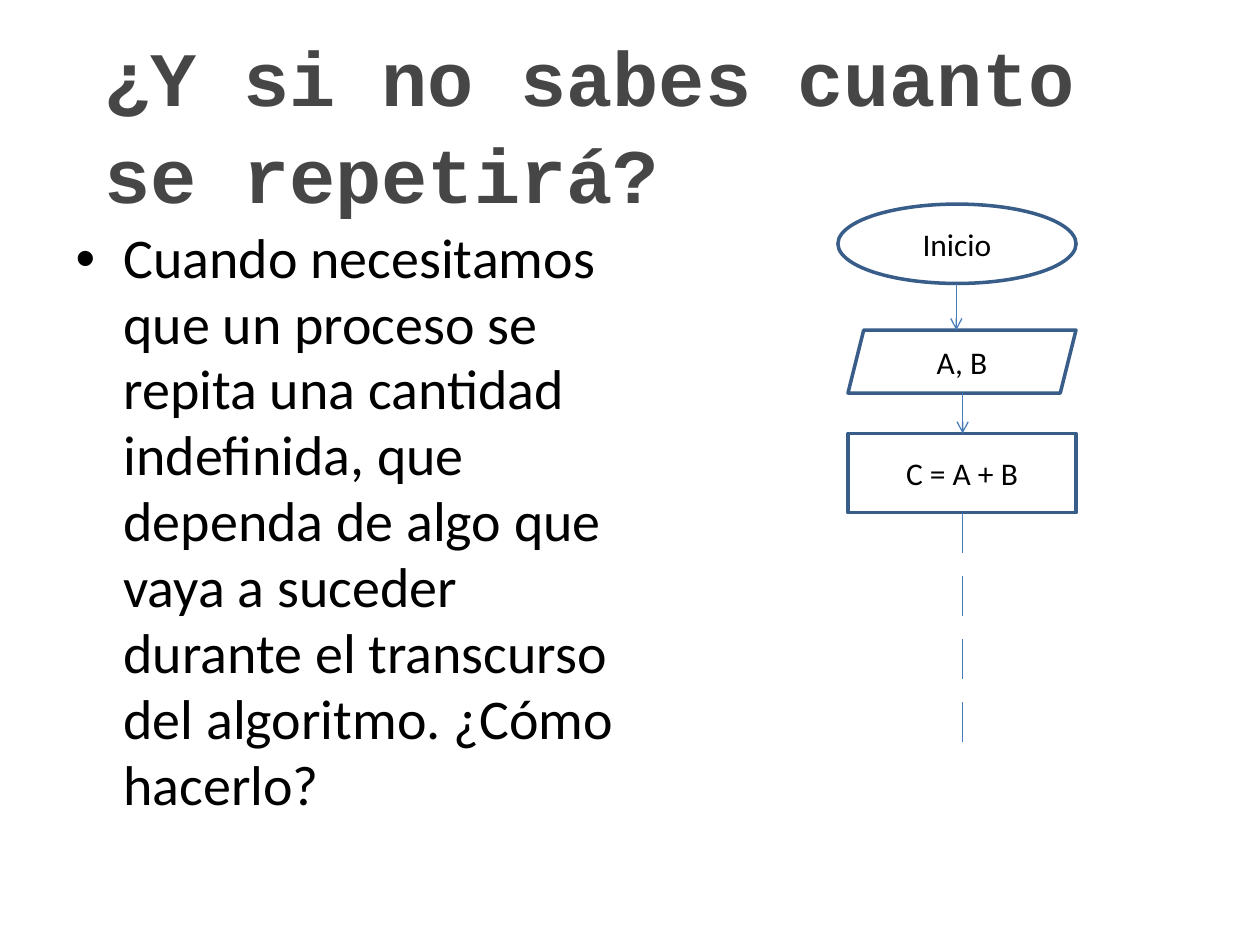
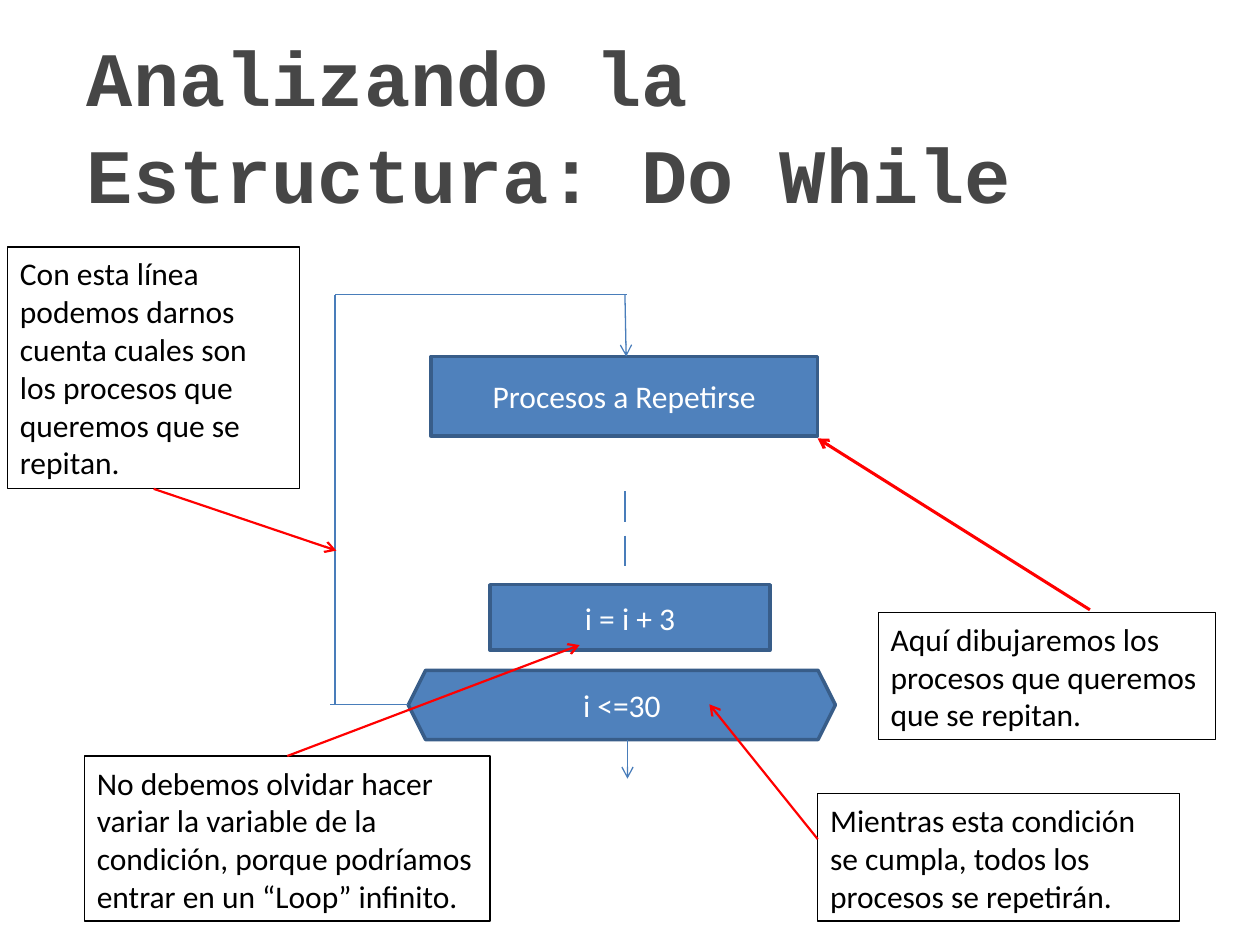
"""Builds two slides on loops whose number of repetitions is unknown."""
from lxml import etree
from pptx import Presentation, util as u
from pptx.dml.color import RGBColor
from pptx.enum import shapes, text
from pptx.oxml.ns import qn

COLORS = {"title": "464646", "ink": "000000", "light": "FFFFFF", "fill": "4F81BC",
          "edge": "385D89", "flow": "497DBA", "pointer": "FF0000"}
COLUMNS, ROWS = 100, 75
FORMS = shapes.MSO_SHAPE


def write(frame, words, font="Calibri", size=18, color="ink", bold=False, align="LEFT",
          anchor="TOP", inset=(0, 0), spacing=None, bullet=None):
    """Put words into a text frame; line breaks in them stay inside one paragraph."""
    frame.word_wrap = True
    frame.vertical_anchor = getattr(text.MSO_ANCHOR, anchor)
    frame.margin_left, frame.margin_top = (u.Inches(side) for side in inset)
    frame.margin_right = frame.margin_bottom = 0
    para = frame.paragraphs[0]
    para.alignment = getattr(text.PP_ALIGN, align)
    if spacing:
        para.line_spacing = spacing
    if bullet:
        props = para._p.get_or_add_pPr()
        props.set("marL", str(u.Inches(0.39)))
        props.set("indent", str(-u.Inches(0.38)))
        etree.SubElement(props, qn("a:buFont"), typeface="Arial")
        etree.SubElement(props, qn("a:buChar"), char=bullet)
    for number, line in enumerate(words.split("\n")):
        if number:
            para.add_line_break()
        span = para.add_run()
        span.text = line
        span.font.name, span.font.size, span.font.bold = font, u.Pt(size), bold
        span.font.color.rgb = RGBColor.from_string(COLORS[color])


class Lesson:
    """Holds the deck, its grid and the current slide."""

    def __init__(self):
        self.deck = Presentation()
        self.deck.slide_width, self.deck.slide_height = u.Inches(10), u.Inches(7.5)

    def grid(self, column, row):
        """Turn a column and a row into lengths."""
        return (round(self.deck.slide_width * column / COLUMNS),
                round(self.deck.slide_height * row / ROWS))

    def page(self, title, left, width):
        """Start a slide with its title."""
        self.slide = self.deck.slides.add_slide(self.deck.slide_layouts[6])
        self.label(title, (left, 5, width, 7.6), font="Courier New", size=44, bold=True,
                   color="title", anchor="MIDDLE", inset=(0, 0.18), spacing=1.05)

    def label(self, words, area, **style):
        """Add plain text."""
        box = self.slide.shapes.add_textbox(*self.grid(*area[:2]), *self.grid(*area[2:]))
        write(box.text_frame, words, **style)

    def shape(self, form, words, area, fill=None, edge="edge", weight=2, **style):
        """Add an outlined shape with text."""
        box = self.slide.shapes.add_shape(form, *self.grid(*area[:2]), *self.grid(*area[2:]))
        box.shadow.inherit = False
        if fill:
            box.fill.solid()
            box.fill.fore_color.rgb = RGBColor.from_string(COLORS[fill])
        else:
            box.fill.background()
        box.line.color.rgb = RGBColor.from_string(COLORS[edge])
        box.line.width = u.Pt(weight)
        write(box.text_frame, words, **style)

    def step(self, form, words, area, **style):
        """Add a flowchart step with centred text."""
        self.shape(form, words, area, align="CENTER", anchor="MIDDLE", **style)

    def note(self, words, area):
        """Add a thinly framed remark."""
        self.shape(FORMS.RECTANGLE, words, area, edge="ink", weight=0.75, inset=(0.1, 0.06))

    def line(self, start, end, color="flow", weight=0.75, arrow=False):
        """Add a straight line, with an arrowhead at its end if asked."""
        link = self.slide.shapes.add_connector(
            shapes.MSO_CONNECTOR.STRAIGHT, *self.grid(*start), *self.grid(*end))
        link.line.color.rgb = RGBColor.from_string(COLORS[color])
        link.line.width = u.Pt(weight)
        if arrow:
            etree.SubElement(link.line._get_or_add_ln(), qn("a:tailEnd"), type="arrow")
        etree.SubElement(link._element.spPr, qn("a:effectLst"))


def unknown_count(lesson):
    """Ask how to repeat a process an unknown number of times."""
    lesson.page("¿Y si no sabes cuanto se repetirá?", 8.3, 83.4)
    lesson.label("Cuando necesitamos\nque un proceso se\nrepita una cantidad\nindefinida, que\n"
                 "dependa de algo que\nvaya a suceder\ndurante el transcurso\n"
                 "del algoritmo. ¿Cómo\nhacerlo?",
                 (5.9, 17.9, 44, 48.3), size=32, spacing=0.98, bullet="•")
    lesson.step(FORMS.OVAL, "Inicio", (66.5, 16.2, 18.9, 6.3))
    lesson.step(FORMS.PARALLELOGRAM, "A, B", (67.3, 26.2, 18.1, 5))
    lesson.step(FORMS.RECTANGLE, "C = A + B", (67.3, 34.4, 18.1, 6.3))
    lesson.line((75.9, 22.5), (75.9, 26.2), arrow=True)
    lesson.line((76.4, 31.2), (76.4, 34.4), arrow=True)
    for dash in range(4):
        top = 40.7 + 5 * dash
        lesson.line((76.4, top), (76.4, top + 3.2))


def do_while(lesson):
    """Explain the parts of a do while loop."""
    lesson.page("Analizando la Estructura: Do While", 6.9, 86.2)
    solid = {"fill": "fill", "color": "light"}
    lesson.step(FORMS.HEXAGON, "i <=30", (32.4, 53.2, 33.9, 5.5), **solid)
    lesson.step(FORMS.RECTANGLE, "Procesos a Repetirse", (34.2, 28.3, 30.7, 6.3), **solid)
    lesson.step(FORMS.RECTANGLE, "i = i + 3", (38.9, 46.4, 22.2, 5.2), **solid)

    for top in (39, 42.5):
        lesson.line((49.6, top), (49.6, top + 2.4))
    lesson.line((32.4, 55.9), (26.2, 55.9))
    lesson.line((26.6, 55.9), (26.6, 23.4))
    lesson.line((26.6, 23.4), (49.8, 23.4))
    lesson.line((49.6, 23.4), (49.7, 28.3), arrow=True)
    lesson.line((49.8, 58.7), (49.8, 61.8), arrow=True)

    lesson.note("Con esta línea\npodemos darnos\ncuenta cuales son\nlos procesos que\n"
                "queremos que se\nrepitan.", (0.6, 19.6, 23.2, 19.2))
    lesson.note("Aquí dibujaremos los\nprocesos que queremos\nque se repitan.",
                (69.7, 48.6, 26.8, 10.1))
    lesson.note("No debemos olvidar hacer\nvariar la variable de la\n"
                "condición, porque podríamos\nentrar en un “Loop” infinito.",
                (6.7, 60, 32.2, 13.1))
    lesson.note("Mientras esta condición\nse cumpla, todos los\nprocesos se repetirán.",
                (64.9, 63, 28.7, 10.1))
    for start, end, weight in (((12.2, 38.8), (26.7, 43.7), 1.25),
                               ((86.5, 48.4), (64.9, 34.8), 1.75),
                               ((22.8, 60), (46, 51.2), 1.25),
                               ((64.9, 66.6), (56.3, 55.9), 1.25)):
        lesson.line(start, end, "pointer", weight, arrow=True)


def main():
    """Build and save the deck."""
    lesson = Lesson()
    unknown_count(lesson)
    do_while(lesson)
    lesson.deck.save("out.pptx")


if __name__ == "__main__":
    main()
